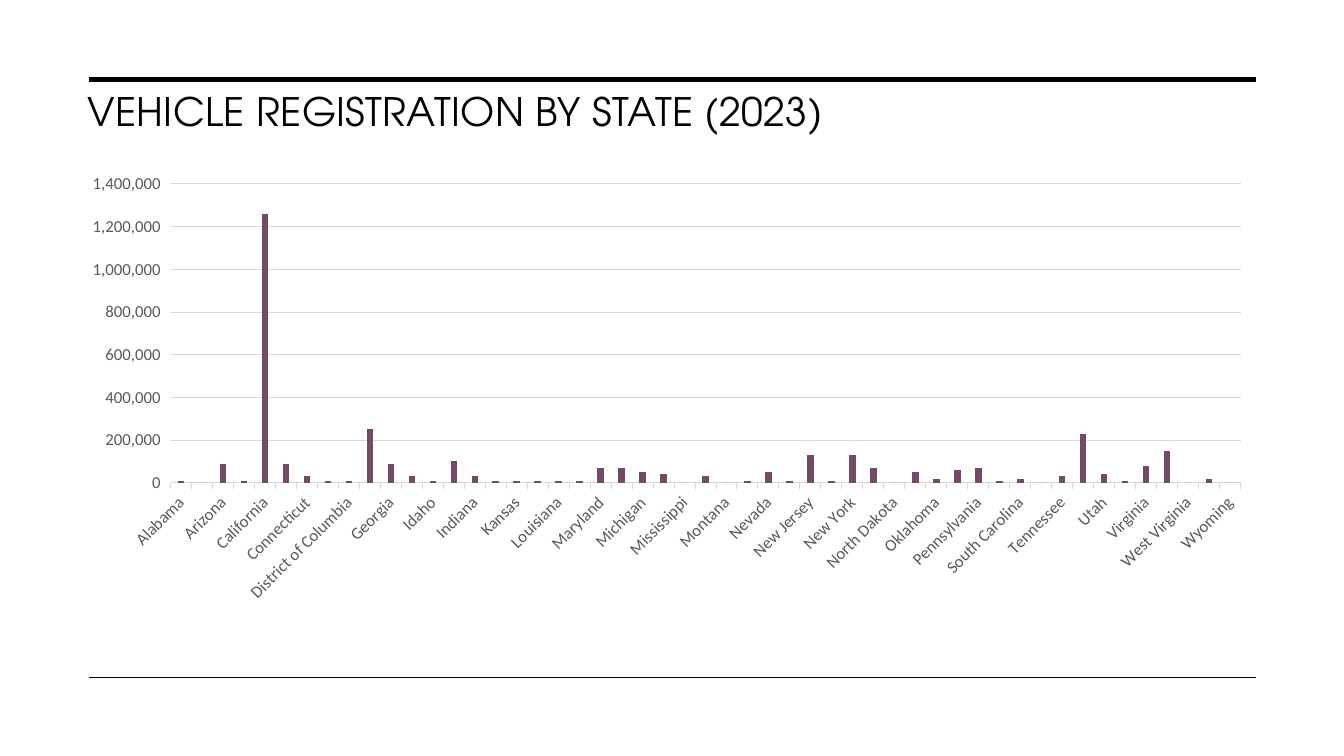
from pptx import Presentation
from pptx.chart.data import CategoryChartData
from pptx.dml.color import RGBColor
from pptx.enum.chart import XL_CHART_TYPE as ChartType, XL_TICK_MARK as TickMark
from pptx.enum.shapes import MSO_CONNECTOR as Connector
from pptx.enum.text import MSO_ANCHOR as Anchor, PP_ALIGN as Align
from pptx.oxml import parse_xml
from pptx.oxml.ns import nsdecls, qn
from pptx.util import Pt

# Content
TITLE = "VEHICLE REGISTRATION BY STATE (2023)"
SERIES = "Series 1"
REGISTRATIONS = {  # thousands of vehicles
    "Alabama": 10, "Alaska": 0, "Arizona": 90, "Arkansas": 10,
    "California": 1260, "Colorado": 90, "Connecticut": 30, "Delaware": 10,
    "District of Columbia": 10, "Florida": 250, "Georgia": 90, "Hawaii": 30,
    "Idaho": 10, "Illinois": 100, "Indiana": 30, "Iowa": 10,
    "Kansas": 10, "Kentucky": 10, "Louisiana": 10, "Maine": 10,
    "Maryland": 70, "Massachusetts": 70, "Michigan": 50, "Minnesota": 40,
    "Mississippi": 0, "Missouri": 30, "Montana": 0, "Nebraska": 10,
    "Nevada": 50, "New Hampshire": 10, "New Jersey": 130, "New Mexico": 10,
    "New York": 130, "North Carolina": 70, "North Dakota": 0, "Ohio": 50,
    "Oklahoma": 20, "Oregon": 60, "Pennsylvania": 70, "Rhode Island": 10,
    "South Carolina": 20, "South Dakota": 0, "Tennessee": 30, "Texas": 230,
    "Utah": 40, "Vermont": 10, "Virginia": 80, "Washington": 150,
    "West Virginia": 0, "Wisconsin": 20, "Wyoming": 0,
}
RULES = [(56.9, 3.5), (483.8, 1)]  # top, line width
RULE_LEFT, RULE_RIGHT = 63.4, 897.1
TITLE_BOX = (55.4, 62.6, 810, 33.8)
CHART_BOX = (55.4, 123.1, 841.7, 360.7)
PLOT = {"x": 0.079, "y": 0.023, "w": 0.908, "h": 0.592}
BLACK, GREY, PALE, PLUM = "000000", "595959", "D9D9D9", "734B67"


def color(hex_value):
    return RGBColor.from_string(hex_value)


def style_line(line, hex_value, width):
    line.color.rgb = color(hex_value)
    line.width = Pt(width)


def style_font(font, name, size, hex_value):
    font.name, font.size = name, Pt(size)
    font.color.rgb = color(hex_value)


presentation = Presentation()
presentation.slide_width, presentation.slide_height = Pt(960), Pt(540)
slide = presentation.slides.add_slide(presentation.slide_layouts[6])

# Rules above and below
for top, width in RULES:
    rule = slide.shapes.add_connector(
        Connector.STRAIGHT, Pt(RULE_LEFT), Pt(top), Pt(RULE_RIGHT), Pt(top))
    style_line(rule.line, BLACK, width)
    rule._element.spPr.append(parse_xml(f"<a:effectLst {nsdecls('a')}/>"))

# Title
title = slide.shapes.add_textbox(*map(Pt, TITLE_BOX))
frame = title.text_frame
frame.word_wrap = True
frame.vertical_anchor = Anchor.TOP
frame.text = TITLE
paragraph = frame.paragraphs[0]
paragraph.alignment = Align.LEFT
paragraph.line_spacing = 0.9
run = paragraph.runs[0]
style_font(run.font, "TeX Gyre Adventor", 28, BLACK)
run.font._element.set("spc", "30")

# Chart
data = CategoryChartData(number_format="#,##0")
data.categories = list(REGISTRATIONS)
data.add_series(SERIES, [thousands * 1000 for thousands in REGISTRATIONS.values()])
chart = slide.shapes.add_chart(
    ChartType.COLUMN_CLUSTERED, *map(Pt, CHART_BOX), data).chart
chart.has_legend = chart.has_title = False
style_font(chart.font, "Calibri", 10, BLACK)
plot = chart.plots[0]
plot.vary_by_categories = False
plot.gap_width, plot.overlap = 219, -27
bars = plot.series[0].format.fill
bars.solid()
bars.fore_color.rgb = color(PLUM)

# Axes
states, counts = chart.category_axis, chart.value_axis
for axis in (states, counts):
    axis.major_tick_mark = TickMark.OUTSIDE
    axis.minor_tick_mark = TickMark.NONE
    style_font(axis.tick_labels.font, "Calibri", 12, GREY)
style_line(states.format.line, PALE, 0.75)
states._element.find(qn("c:txPr")).find(qn("a:bodyPr")).set("rot", "-2700000")
counts.format.line.fill.background()
counts.minimum_scale, counts.maximum_scale, counts.major_unit = 0, 1400000, 200000
counts.tick_labels.number_format = "#,##0"
counts.tick_labels.number_format_is_linked = False
counts.has_major_gridlines = True
style_line(counts.major_gridlines.format.line, PALE, 0.75)

# Fixed plot area
modes = "".join(f'<c:{side}Mode val="edge"/>' for side in "xy")
sizes = "".join(f'<c:{side} val="{share}"/>' for side, share in PLOT.items())
plot_area = chart._chartSpace.chart.plotArea
for layout in plot_area.findall(qn("c:layout")):
    plot_area.remove(layout)
plot_area.insert(0, parse_xml(
    f'<c:layout {nsdecls("c")}><c:manualLayout><c:layoutTarget val="inner"/>'
    f"{modes}{sizes}</c:manualLayout></c:layout>"))

presentation.save("out.pptx")
